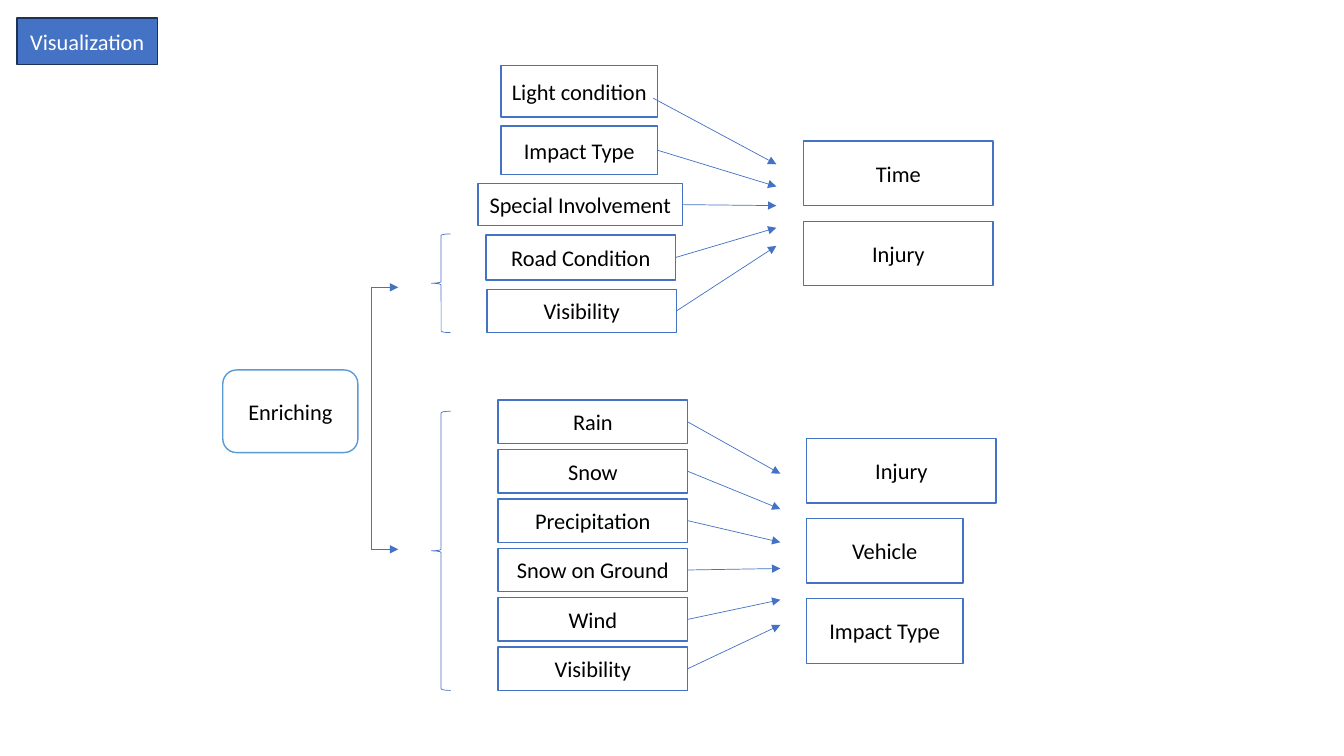
"""Build the slide that maps enriching factors to the outcomes they are compared with."""
import pptx
import pptx.util
import pptx.dml.color
import pptx.enum.shapes
import pptx.enum.text
import pptx.oxml
import pptx.oxml.ns
from dataclasses import dataclass

Inches = pptx.util.Inches
Shape = pptx.enum.shapes.MSO_SHAPE


@dataclass(frozen=True)
class Theme:
    """Colours, type and line widths of the slide."""
    font: str = "Calibri"
    size: int = 16
    blue: str = "4472C4"
    light_blue: str = "5B9BD5"
    navy: str = "1E3256"
    white: str = "FFFFFF"
    black: str = "000000"
    border: float = 1
    thin: float = 0.5


THEME = Theme()
TITLE = ("Visualization", (0.17, 0.18, 1.39, 0.46))
ROOT = ("Enriching", (2.21, 3.67, 1.34, 0.82))
ROAD_FACTORS = [
    ("Light condition", (4.97, 0.65, 1.55, 0.51), 1.63),
    ("Impact Type", (4.97, 1.25, 1.55, 0.48), 1.85),
    ("Special Involvement", (4.74, 1.82, 2.03, 0.42), 2.04),
    ("Road Condition", (4.82, 2.33, 1.88, 0.45), 2.26),
    ("Visibility", (4.83, 2.87, 1.88, 0.43), 2.44),
]
WEATHER_FACTORS = [
    ("Rain", 4.7), ("Snow", 5.05), ("Precipitation", 5.38),
    ("Snow on Ground", 5.64), ("Wind", 5.95), ("Visibility", 6.2),
]
ROAD_OUTCOMES = [("Time", 1.88), ("Injury", 1.88)]
WEATHER_OUTCOMES = [("Injury", 1.88), ("Vehicle", 1.55), ("Impact Type", 1.55)]
ARROW_START_SHIFTS = {"Light condition": (-0.04, 0.07)}
ROAD_ARROW_END, WEATHER_ARROW_END = 7.7, 7.74
BRACES = [(4.28, 2.32, 0.19, 0.98), (4.28, 4.08, 0.19, 2.77)]
TRUNK_LEFT, BRANCH_RIGHT = 3.68, 3.95
BRANCH_TOPS = (2.85, 5.45)
WEATHER_LEFT, WEATHER_TOP, WEATHER_STEP = 4.94, 3.97, 0.49
WEATHER_WIDTH, WEATHER_HEIGHT = 1.88, 0.43
OUTCOME_STEP, OUTCOME_HEIGHT = 0.795, 0.64


def colour(value):
    """Return a colour from its hexadecimal value."""
    return pptx.dml.color.RGBColor.from_string(value)


def apply(target, values):
    """Set every attribute in a dict of format values."""
    for name, value in values.items():
        setattr(target, name, value)


def style_box(box, label, fill, line, ink):
    """Fill and outline a box and centre its label."""
    box.fill.solid()
    box.fill.fore_color.rgb = colour(fill)
    box.line.color.rgb = colour(line)
    box.line.width = pptx.util.Pt(THEME.border)
    frame = box.text_frame
    frame.text = label
    apply(frame, {
        "word_wrap": True,
        "auto_size": pptx.enum.text.MSO_AUTO_SIZE.NONE,
        "vertical_anchor": pptx.enum.text.MSO_ANCHOR.MIDDLE,
        "margin_left": Inches(0.05), "margin_right": Inches(0.05),
    })
    para = frame.paragraphs[0]
    para.alignment = pptx.enum.text.PP_ALIGN.CENTER
    font = para.runs[0].font
    apply(font, {"name": THEME.font, "size": pptx.util.Pt(THEME.size)})
    font.color.rgb = colour(ink)


def add_box(page, label, place, kind=Shape.RECTANGLE, line=THEME.blue):
    """Add a white labelled box."""
    box = page.shapes.add_shape(kind, *map(Inches, place))
    box.shadow.inherit = False
    style_box(box, label, THEME.white, line, THEME.black)


def add_brace(page, place):
    """Add a thin left brace."""
    brace = page.shapes.add_shape(Shape.LEFT_BRACE, *map(Inches, place))
    brace.shadow.inherit = False
    brace.fill.background()
    brace.line.color.rgb = colour(THEME.blue)
    brace.line.width = pptx.util.Pt(THEME.thin)


def add_line(page, start, end, arrow=True):
    """Add a thin straight line, with an arrowhead at its end if asked."""
    straight = pptx.enum.shapes.MSO_CONNECTOR.STRAIGHT
    line = page.shapes.add_connector(straight, *map(Inches, (*start, *end)))
    line.line.color.rgb = colour(THEME.blue)
    line.line.width = pptx.util.Pt(THEME.thin)
    if arrow:
        head = pptx.oxml.parse_xml(
            f'<a:tailEnd {pptx.oxml.ns.nsdecls("a")} type="triangle"/>')
        line.line._get_or_add_ln().append(head)
    line._element.spPr.append(
        pptx.oxml.parse_xml(f'<a:effectLst {pptx.oxml.ns.nsdecls("a")}/>'))


def add_factors(page, factors, arrow_end):
    """Add factor boxes, each with an arrow towards the outcomes."""
    for label, place, end_top in factors:
        add_box(page, label, place)
        left, top, width, height = place
        shift_x, shift_y = ARROW_START_SHIFTS.get(label, (0, 0))
        start = (left + width + shift_x, top + height / 2 + shift_y)
        add_line(page, start, (arrow_end, end_top))


def add_outcomes(page, outcomes, left, top):
    """Stack outcome boxes at equal steps."""
    for index, (label, width) in enumerate(outcomes):
        add_box(page, label, (left, top + index * OUTCOME_STEP, width, OUTCOME_HEIGHT))


def main():
    """Build and save the slide."""
    deck = pptx.Presentation()
    deck.slide_width, deck.slide_height = Inches(13.33), Inches(7.5)
    page = deck.slides.add_slide(deck.slide_layouts[5])

    label, place = TITLE
    title = page.shapes.title
    apply(title, dict(zip(("left", "top", "width", "height"), map(Inches, place))))
    style_box(title, label, THEME.blue, THEME.navy, THEME.white)

    weather = [
        (label, (WEATHER_LEFT, WEATHER_TOP + index * WEATHER_STEP,
                 WEATHER_WIDTH, WEATHER_HEIGHT), end_top)
        for index, (label, end_top) in enumerate(WEATHER_FACTORS)
    ]
    add_outcomes(page, WEATHER_OUTCOMES, 8, 4.35)
    add_factors(page, weather, WEATHER_ARROW_END)
    add_outcomes(page, ROAD_OUTCOMES, 7.97, 1.4)
    add_factors(page, ROAD_FACTORS, ROAD_ARROW_END)
    for place in BRACES:
        add_brace(page, place)

    add_line(page, *((TRUNK_LEFT, top) for top in BRANCH_TOPS), arrow=False)
    for top in BRANCH_TOPS:
        add_line(page, (TRUNK_LEFT, top), (BRANCH_RIGHT, top))
    add_box(page, *ROOT, kind=Shape.ROUNDED_RECTANGLE, line=THEME.light_blue)
    deck.save("out.pptx")


if __name__ == "__main__":
    main()
